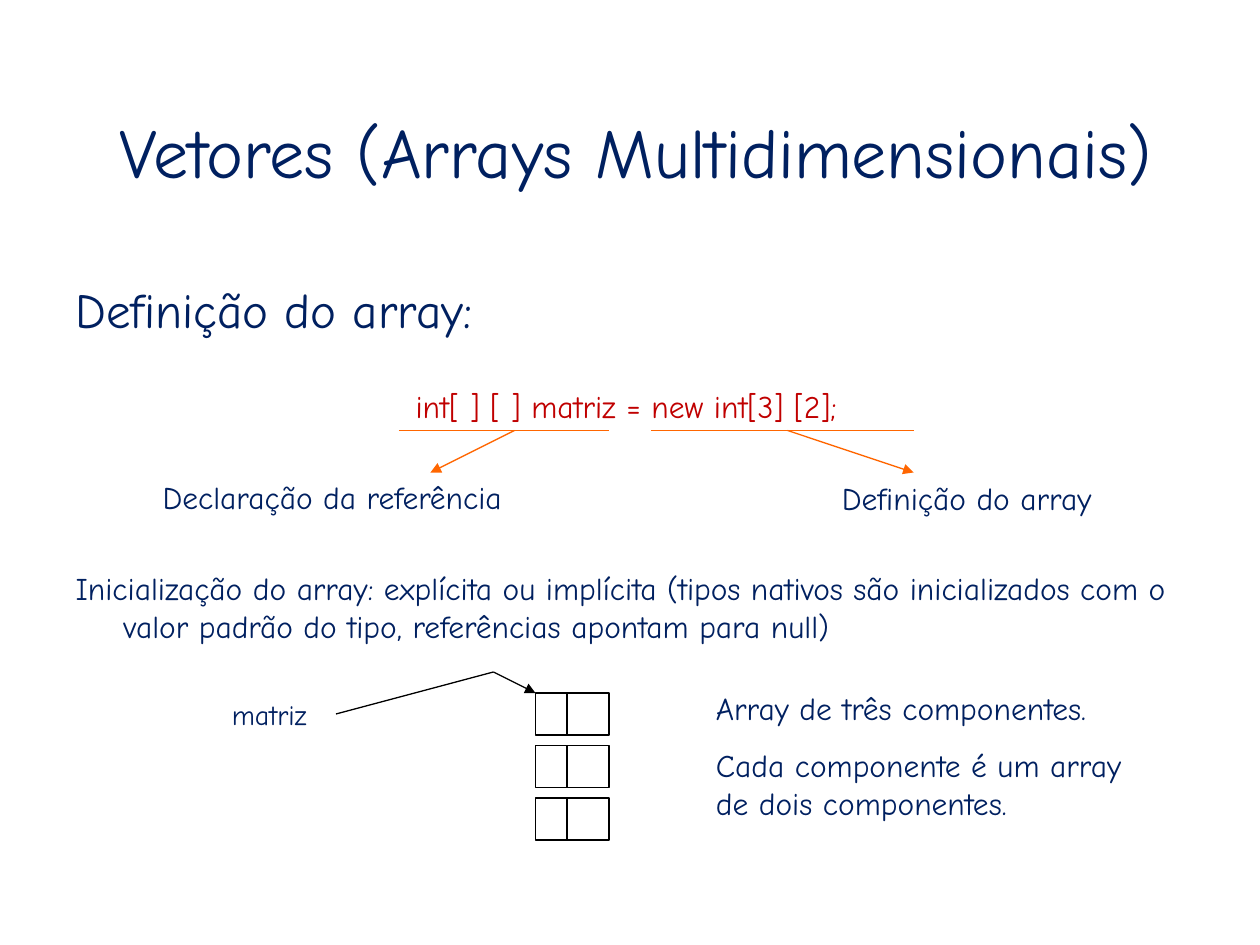
from dataclasses import dataclass

from lxml import etree
from pptx import Presentation
from pptx import util as u
from pptx.dml.color import RGBColor
from pptx.enum import shapes, text
from pptx.oxml.ns import qn


@dataclass(frozen=True)
class Theme:
    """Colours, type sizes and line weight of the slide."""
    font: str = "Comic Neue"
    ink: str = "002060"
    code: str = "C00000"
    callout: str = "FF6600"
    diagram: str = "000000"
    title: int = 40
    heading: int = 28
    body: int = 18
    small: int = 16
    line: float = 0.75


THEME = Theme()
UNIT = u.Inches(1) / 12


def grid(*units):
    """Turn grid columns and rows, twelve to the inch, into lengths."""
    return [u.Emu(round(n * UNIT)) for n in units]


def place(part, left, top, width, height):
    """Set a part's box in inches."""
    part.left, part.top, part.width, part.height = map(u.Inches, (left, top, width, height))


def write(paragraph, words, size=THEME.body, color=THEME.ink):
    """Add one formatted run to a paragraph."""
    run = paragraph.add_run()
    run.text = words
    run.font.name = THEME.font
    run.font.size = u.Pt(size)
    run.font.color.rgb = RGBColor.from_string(color)


def plain_list(paragraph, margin=0, hanging=0):
    """Remove the bullet and set the indents in inches."""
    props = paragraph._p.get_or_add_pPr()
    props.set("marL", str(u.Inches(margin)))
    props.set("indent", str(-u.Inches(hanging)))
    etree.SubElement(props, qn("a:buNone"))


def add_line(slide, start, end, color, arrow=False):
    """Draw a straight line between two grid points."""
    line = slide.shapes.add_connector(shapes.MSO_CONNECTOR.STRAIGHT, *grid(*start, *end))
    line.line.color.rgb = RGBColor.from_string(color)
    line.line.width = u.Pt(THEME.line)
    if arrow:
        etree.SubElement(line.line._get_or_add_ln(), qn("a:tailEnd"), type="triangle")
    etree.SubElement(line._element.spPr, qn("a:effectLst"))


def add_title(slide, box):
    """Fill the title placeholder."""
    title = slide.shapes.title
    place(title, *box)
    frame = title.text_frame
    frame.vertical_anchor = text.MSO_ANCHOR.BOTTOM
    frame.auto_size = text.MSO_AUTO_SIZE.NONE
    heading = frame.paragraphs[0]
    heading.alignment = text.PP_ALIGN.CENTER
    write(heading, "Vetores (Arrays Multidimensionais)", THEME.title)


def add_body(slide, box):
    """Fill the body placeholder with the definition and its notes."""
    body = slide.placeholders[1]
    place(body, *box)
    frame = body.text_frame
    frame.auto_size = text.MSO_AUTO_SIZE.NONE

    heading = frame.paragraphs[0]
    heading.space_before = u.Pt(0)
    plain_list(heading, 0.38, 0.38)
    write(heading, "Definição do array:", THEME.heading)

    code = frame.add_paragraph()
    code.alignment = text.PP_ALIGN.CENTER
    code.space_before = u.Pt(27.5)
    plain_list(code)
    write(code, "int[ ] [ ] matriz = new int[3] [2];", color=THEME.code)

    reference = frame.add_paragraph()
    reference.space_before = u.Pt(30.5)
    plain_list(reference, 0.69)
    write(reference, "Declaração da referência")

    initial = frame.add_paragraph()
    initial.space_before = u.Pt(30.5)
    plain_list(initial, 0.38, 0.38)
    write(initial, "Inicialização do array: explícita ou implícita (tipos nativos são "
                   "inicializados com o valor padrão do tipo, referências apontam para null)")

    variable = frame.add_paragraph()
    variable.level = 1
    variable.space_before = u.Pt(30)
    plain_list(variable, 1.24)
    write(variable, "matriz", THEME.small)


def add_callout(slide, left, top, width, stem, tip):
    """Underline part of the code and point from it to its label."""
    add_line(slide, (left, top), (left + width, top), THEME.callout)
    add_line(slide, (left + stem, top), (left + tip, top + 4), THEME.callout, arrow=True)


def add_matrix(slide, left, top, rows=3, width=7, height=4, pitch=5, split=3):
    """Stack the two-cell rows and lead the reference arrow to the first."""
    for row in range(rows):
        y = top + row * pitch
        pair = slide.shapes.add_shape(shapes.MSO_SHAPE.RECTANGLE, *grid(left, y, width, height))
        pair.shadow.inherit = False
        pair.fill.background()
        pair.line.color.rgb = RGBColor.from_string(THEME.diagram)
        pair.line.width = u.Pt(THEME.line)
        add_line(slide, (left + split, y), (left + split, y + height), THEME.diagram)
    bend = (left - 4, top - 2)
    add_line(slide, (left - 19, top + 2), bend, THEME.diagram)
    add_line(slide, bend, (left, top), THEME.diagram, arrow=True)


def add_remarks(slide, box, *remarks):
    """Write remarks as paragraphs of one text box on the grid."""
    frame = slide.shapes.add_textbox(*grid(*box)).text_frame
    frame.word_wrap = True
    frame.auto_size = text.MSO_AUTO_SIZE.SHAPE_TO_FIT_TEXT
    for index, remark in enumerate(remarks):
        paragraph = frame.add_paragraph() if index else frame.paragraphs[0]
        paragraph.space_before = u.Pt(11.2 if index else 0)
        write(paragraph, remark)


def main():
    """Build and save the slide."""
    deck = Presentation()
    deck.slide_width, deck.slide_height = u.Inches(10), u.Inches(7.5)
    slide = deck.slides.add_slide(deck.slide_layouts[1])
    add_title(slide, (0.17, 0.5, 9.75, 1.08))
    add_body(slide, (0.5, 2.17, 8.94, 4.56))
    add_callout(slide, 38, 41, width=20, stem=11, tip=3)
    add_callout(slide, 62, 41, width=25, stem=13, tip=25)
    add_remarks(slide, (79, 45, 30, 5), "Definição do array")
    add_matrix(slide, 51, 66)
    add_remarks(slide, (67, 65, 42, 14), "Array de três componentes.",
                "Cada componente é um array de dois componentes.")
    deck.save("out.pptx")


if __name__ == "__main__":
    main()
